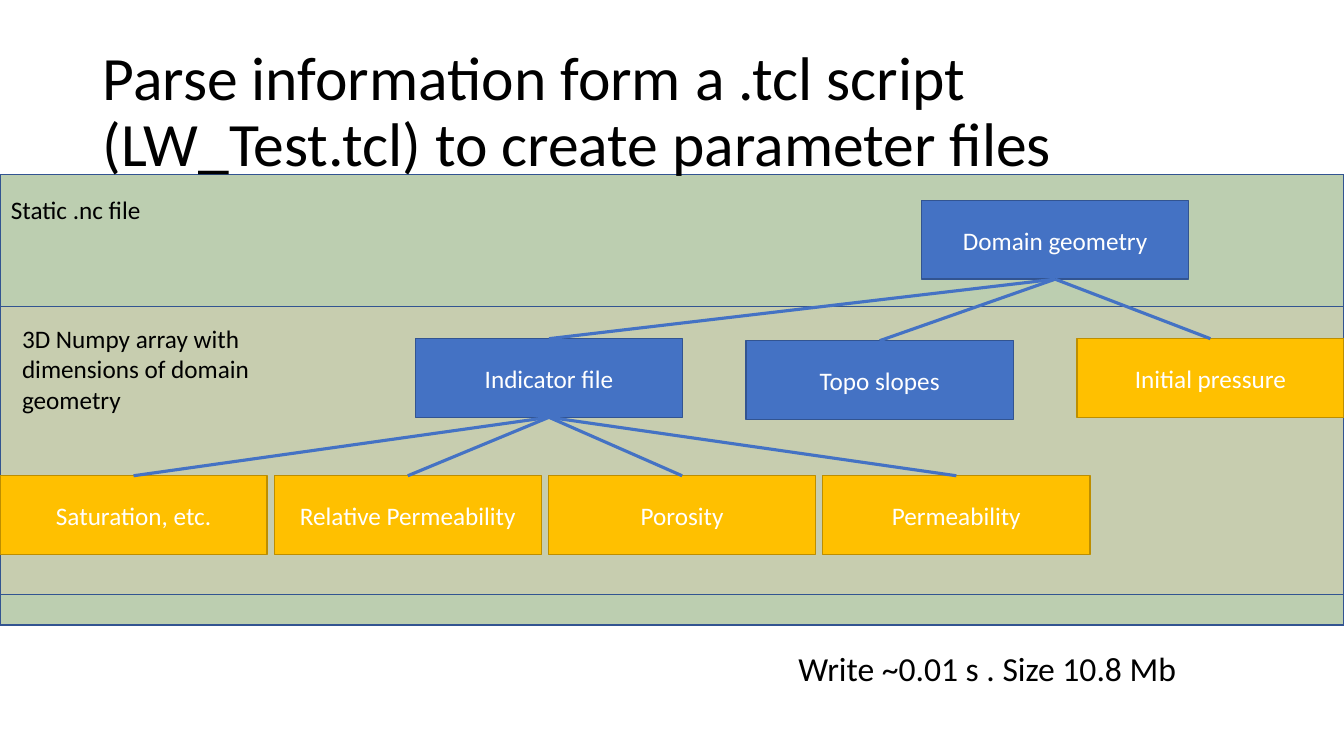
from lxml.etree import SubElement
from pptx import Presentation
from pptx.dml.color import RGBColor
from pptx.enum.shapes import MSO_CONNECTOR, MSO_SHAPE
from pptx.enum.text import MSO_ANCHOR, PP_ALIGN
from pptx.oxml.ns import qn
from pptx.util import Inches, Pt

COLORS = {"green": "548235", "peach": "F8CBAD", "blue": "4472C4", "navy": "325491",
          "gold": "FFC000", "ochre": "BD8E00", "black": "000000", "white": "FFFFFF"}
OUTLINES = {"blue": "navy", "gold": "ochre"}
FONT = "Calibri"
WIDTH, HEIGHT = 13.33, 7.5
BOX_W, BOX_H = 2.65, 0.78
LEAF_PITCH, LEAF_TOP = 2.72, 4.72
CHILD_LEFT, CHILD_PITCH, CHILD_TOP = 4.12, 3.28, 3.36

BANDS = [(1.73, 4.47, "green", 39), (3.04, 2.86, "peach", 19)]
TITLE = ("Parse information form a .tcl script (LW_Test.tcl) to create parameter files",
         (0.92, 0.4, 11.5, 1.45), 44)
NOTES = [
    ("3D Numpy array with dimensions of domain geometry", (0.12, 3.16, 2.55, 1.01), 18),
    ("Static .nc file", (0.01, 1.88, 1.54, 0.4), 18),
    ("Write ~0.01 s . Size 10.8 Mb", (7.82, 6.38, 3.96, 0.5), 24),
]
ROOT = "Domain geometry"
CHILDREN = [("Indicator file", "blue", 0), ("Topo slopes", "blue", 0.02),
            ("Initial pressure", "gold", 0)]
LEAVES = ["Saturation, etc.", "Relative Permeability", "Porosity", "Permeability"]
TREE = {ROOT: [name for name, _, _ in CHILDREN], "Indicator file": LEAVES}

prs = Presentation()
prs.slide_width, prs.slide_height = Inches(WIDTH), Inches(HEIGHT)
slide = prs.slides.add_slide(prs.slide_layouts[6])


def rgb(name):
    return RGBColor.from_string(COLORS[name])


def write(sp, text, size, color):
    tf = sp.text_frame
    tf.word_wrap = True
    tf.text = text
    p = tf.paragraphs[0]
    font = p.runs[0].font
    font.name, font.size = FONT, Pt(size)
    font.color.rgb = rgb(color)
    return p


def add_text(text, place, size):
    sp = slide.shapes.add_textbox(*map(Inches, place))
    return sp, write(sp, text, size, "black")


def add_rect(place, fill, outline):
    sp = slide.shapes.add_shape(MSO_SHAPE.RECTANGLE, *map(Inches, place))
    sp.shadow.inherit = False
    sp.fill.solid()
    sp.fill.fore_color.rgb = rgb(fill)
    sp.line.color.rgb = rgb(outline)
    sp.line.width = Pt(1)
    return sp


def add_box(text, left, top, fill):
    sp = add_rect((left, top, BOX_W, BOX_H), fill, OUTLINES[fill])
    sp.text_frame.vertical_anchor = MSO_ANCHOR.MIDDLE
    write(sp, text, 18, "white").alignment = PP_ALIGN.CENTER
    return sp


def join(parent, child):
    line = slide.shapes.add_connector(MSO_CONNECTOR.STRAIGHT, 0, 0, 0, 0)
    line.begin_connect(parent, 2)
    line.end_connect(child, 0)
    line.line.color.rgb = rgb("blue")
    line.line.width = Pt(2.25)
    SubElement(line._element.spPr, qn("a:effectLst"))


for top, height, fill, opacity in BANDS:
    band = add_rect((0, top, WIDTH, height), fill, "navy")
    color = band._element.spPr.find(qn("a:solidFill"))[0]
    SubElement(color, qn("a:alpha")).set("val", str(opacity * 1000))

title, p = add_text(*TITLE)
title.text_frame.vertical_anchor = MSO_ANCHOR.MIDDLE
p.line_spacing = 0.9

boxes = {ROOT: add_box(ROOT, 9.14, 1.99, "blue")}
for i, (name, fill, drop) in enumerate(CHILDREN):
    boxes[name] = add_box(name, CHILD_LEFT + i * CHILD_PITCH, CHILD_TOP + drop, fill)
for i, name in enumerate(LEAVES):
    boxes[name] = add_box(name, i * LEAF_PITCH, LEAF_TOP, "gold")

for parent, names in TREE.items():
    for name in names:
        join(boxes[parent], boxes[name])

for note in NOTES:
    add_text(*note)

prs.save("out.pptx")
